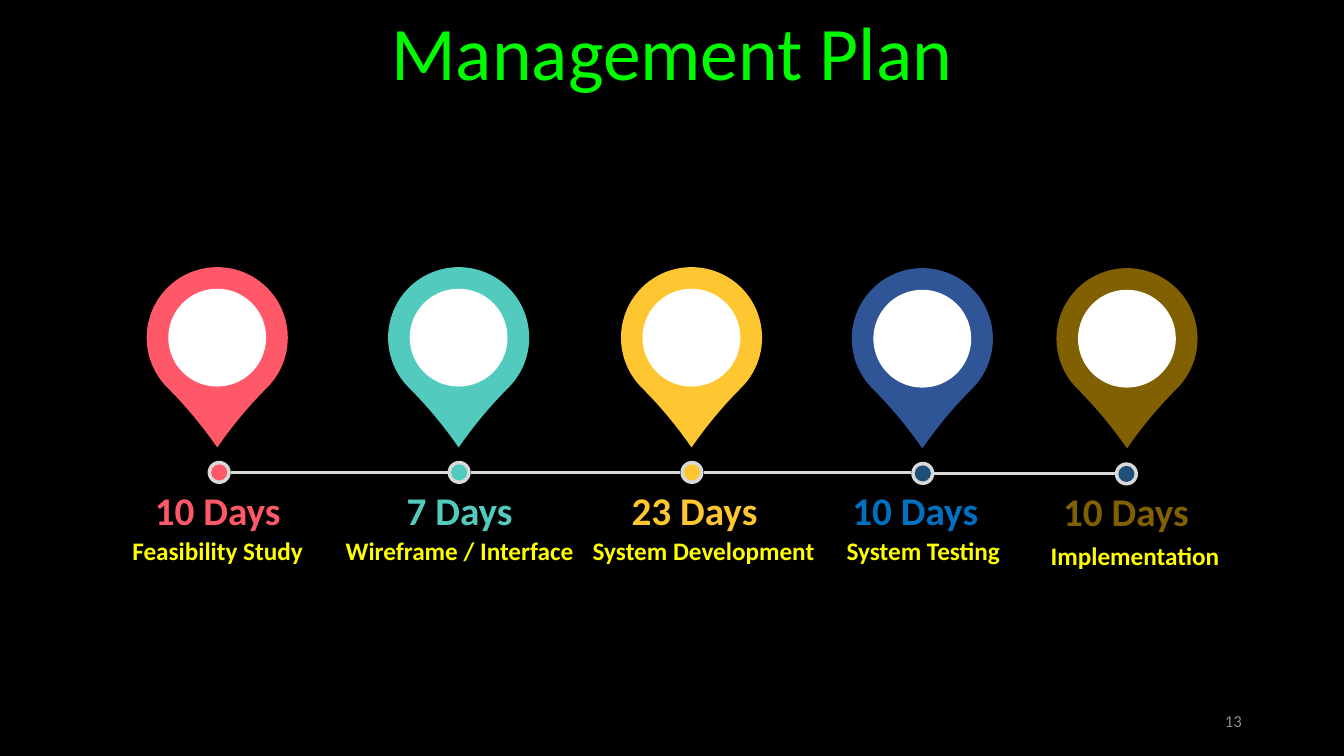
from lxml.etree import SubElement
from pptx import Presentation
from pptx.dml.color import RGBColor
from pptx.enum.shapes import MSO_CONNECTOR, MSO_SHAPE
from pptx.enum.text import MSO_ANCHOR, MSO_AUTO_SIZE, PP_ALIGN
from pptx.oxml.ns import qn
from pptx.util import Inches, Pt

THEME = {
    "font": "Calibri",
    "back": "000000", "title": "00FA00", "name": "FFFF00", "number": "8C8C8C",
    "track": "D9D9D9", "hole": "FFFFFF",
    "title_size": 54, "days_size": 28, "name_size": 18, "number_size": 12,
    "track_width": 2.25,
}

# Grid: square cells of a tenth of an inch
CELL = Inches(0.1)
COLS, ROWS = 133.33, 75
PIN_ROW, DOT_ROW, DAYS_ROW, NAME_ROW = 33.5, 46.87, 47.8, 52.6
PIN, HOLE, RING, DOT = 14, 9.7, 2.3, 1.6
LABEL_W, DAYS_H, NAME_H = 25, 5.7, 4

# days, name, pin colour, dot colour, days colour,
# centre columns of pin, dot, days and name, row shifts of pin, dot, days and name
STAGES = [
    ("10 Days", "Feasibility Study", "FF5969", "FF5969", "FF5969",
     (21.55, 21.75, 21.6, 21.6), (0, 0, 0, 0)),
    ("7 Days", "Wireframe / Interface", "52CBBE", "52CBBE", "52CBBE",
     (45.5, 45.55, 45.6, 45.6), (0, 0, 0, 0)),
    ("23 Days", "System Development", "FEC630", "FEC630", "FEC630",
     (68.6, 68.65, 68.9, 69.8), (0, 0, 0, 0)),
    ("10 Days", "System Testing", "2F5597", "1F4E79", "0070C0",
     (91.5, 91.55, 90.8, 91.6), (0.1, 0.1, 0, 0)),
    ("10 Days", "Implementation", "806000", "1F4E79", "806000",
     (111.8, 111.75, 111.7, 112.6), (0.1, 0.15, 0.1, 0.5)),
]


def cells(*values):
    return [int(v * CELL) for v in values]


def write(tf, text, role_color, size, align=PP_ALIGN.CENTER, anchor=MSO_ANCHOR.TOP, bold=False):
    frame_format = {"word_wrap": True, "auto_size": MSO_AUTO_SIZE.NONE, "vertical_anchor": anchor}
    for key, value in frame_format.items():
        setattr(tf, key, value)
    p = tf.paragraphs[0]
    p.alignment = align
    r = p.add_run()
    r.text = text
    for key, value in {"name": THEME["font"], "size": Pt(size), "bold": bold}.items():
        setattr(r.font, key, value)
    r.font.color.rgb = RGBColor.from_string(role_color)


prs = Presentation()
prs.slide_width, prs.slide_height = cells(COLS, ROWS)
s = prs.slides.add_slide(prs.slide_layouts[5])
s.background.fill.solid()
s.background.fill.fore_color.rgb = RGBColor.from_string(THEME["back"])

# Title
title = s.shapes.title
title.left, title.top, title.width, title.height = cells(0, 0, COLS, 10.1)
write(title.text_frame, "Management Plan", THEME["title"], THEME["title_size"])

# Slide number
sp = s.shapes.add_textbox(*cells(94.2, 69.5, 30, 4))
write(sp.text_frame, "13", THEME["number"], THEME["number_size"],
      PP_ALIGN.RIGHT, MSO_ANCHOR.MIDDLE)

# Track between neighbouring dots
for start, end in zip(STAGES, STAGES[1:]):
    row = DOT_ROW + start[-1][1]
    line = s.shapes.add_connector(MSO_CONNECTOR.STRAIGHT, *cells(
        start[-2][1] + RING / 2, row, end[-2][1] - RING / 2, row))
    line.line.color.rgb = RGBColor.from_string(THEME["track"])
    line.line.width = Pt(THEME["track_width"])
    SubElement(line._element.spPr, qn("a:effectLst"))

for days, name, pin_color, dot_color, days_color, cols, shifts in STAGES:
    pin_x, dot_x, days_x, name_x = cols
    pin_dy, dot_dy, days_dy, name_dy = shifts

    # Pin and dot, each a group of two centred shapes
    marks = [
        (pin_x, PIN_ROW + pin_dy, [(MSO_SHAPE.TEAR, PIN, pin_color),
                                   (MSO_SHAPE.OVAL, HOLE, THEME["hole"])]),
        (dot_x, DOT_ROW + dot_dy, [(MSO_SHAPE.OVAL, RING, THEME["track"]),
                                   (MSO_SHAPE.OVAL, DOT, dot_color)]),
    ]
    for x, y, parts in marks:
        group = s.shapes.add_group_shape()
        for kind, size, color in parts:
            sp = group.shapes.add_shape(kind, *cells(x - size / 2, y - size / 2, size, size))
            sp.shadow.inherit = False
            sp.fill.solid()
            sp.fill.fore_color.rgb = RGBColor.from_string(color)
            sp.line.fill.background()
            if kind == MSO_SHAPE.TEAR:
                sp.adjustments[0] = 1.1
                sp.rotation = 135

    # Duration and stage name
    labels = [
        (name, name_x, NAME_ROW + name_dy, NAME_H, THEME["name"], THEME["name_size"]),
        (days, days_x, DAYS_ROW + days_dy, DAYS_H, days_color, THEME["days_size"]),
    ]
    for text, x, y, height, color, size in labels:
        sp = s.shapes.add_textbox(*cells(x - LABEL_W / 2, y, LABEL_W, height))
        write(sp.text_frame, text, color, size, bold=True)

prs.save("out.pptx")
